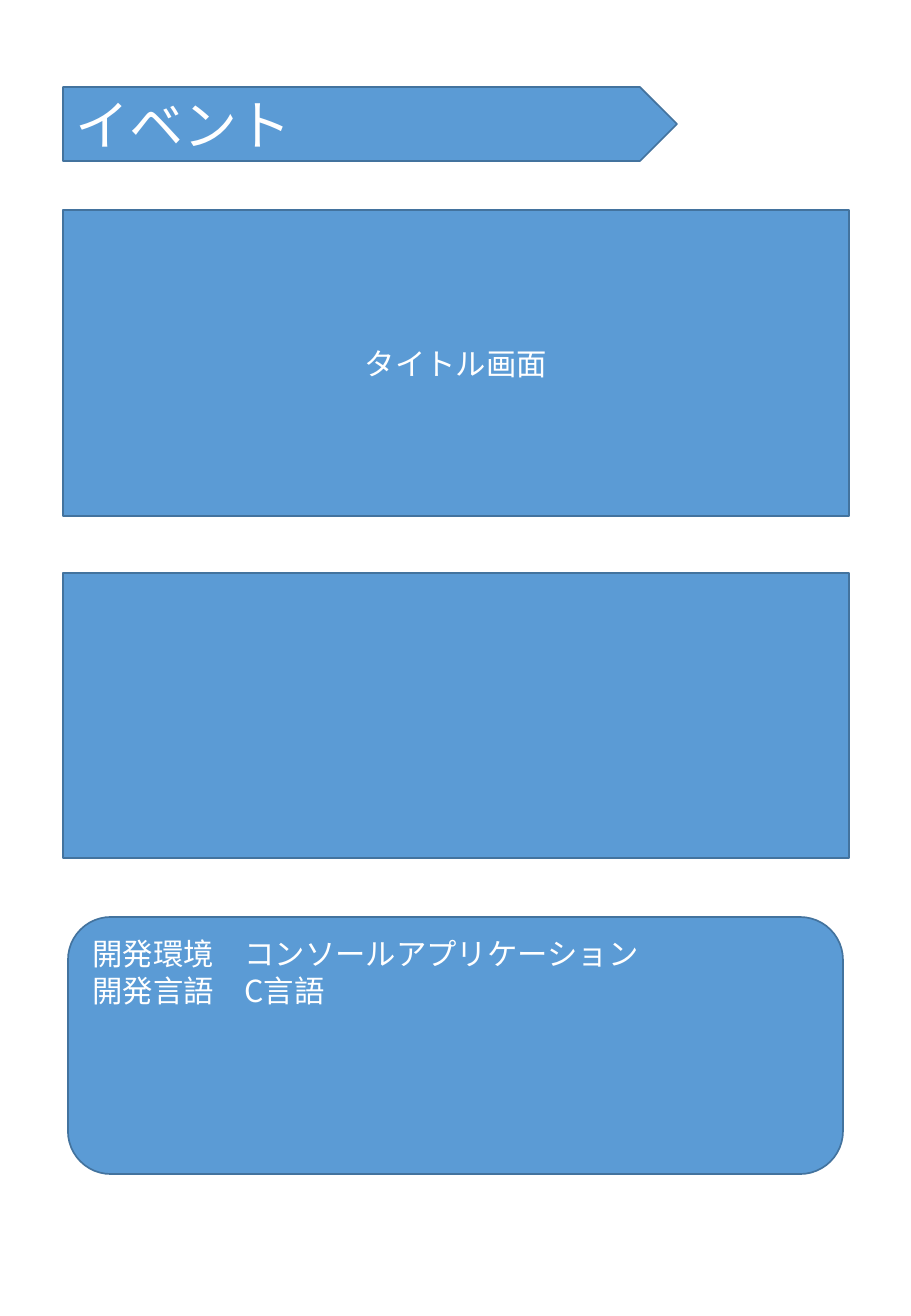
"""Build the event sheet: a banner heading, two screen panels and a development note."""
from dataclasses import dataclass

import pptx
import pptx.dml.color
import pptx.enum.shapes
import pptx.enum.text
import pptx.oxml
import pptx.oxml.ns
import pptx.shapes.autoshape
import pptx.slide
import pptx.text.text
import pptx.util

PIXEL = pptx.util.Inches(1) / 121.5
BLUE = pptx.dml.color.RGBColor(0x5B, 0x9B, 0xD5)
OUTLINE = pptx.dml.color.RGBColor(0x43, 0x73, 0x9E)
WHITE = pptx.dml.color.RGBColor(0xFF, 0xFF, 0xFF)
FONT = "Noto Sans CJK JP"

Geometry = pptx.enum.shapes.MSO_SHAPE
Align = pptx.enum.text.PP_ALIGN
Anchor = pptx.enum.text.MSO_ANCHOR


def px(pixels: int) -> pptx.util.Emu:
    """Turn pixels into EMU."""
    return pptx.util.Emu(round(pixels * PIXEL))


@dataclass(frozen=True)
class Block:
    """A blue block with optional lines of text; lengths in pixels."""
    geometry: Geometry
    left: int
    top: int
    width: int
    height: int
    lines: tuple[str, ...] = ()
    align: Align = Align.LEFT
    anchor: Anchor = Anchor.MIDDLE


MARGIN, PANEL_WIDTH = 63, 786
BANNER = Block(Geometry.PENTAGON, MARGIN, 87, 614, 74)
NOTE = Block(Geometry.ROUNDED_RECTANGLE, 68, 917, 775, 257,
             ("開発環境\u3000コンソールアプリケーション", "開発言語\u3000C言語"),
             anchor=Anchor.TOP)
TITLE_SCREEN = Block(Geometry.RECTANGLE, MARGIN, 210, PANEL_WIDTH, 306,
                     ("タイトル画面",), align=Align.CENTER)
EMPTY_SCREEN = Block(Geometry.RECTANGLE, MARGIN, 573, PANEL_WIDTH, 285)


def write(frame: pptx.text.text.TextFrame, *lines: str, size: int = 18,
          align: Align = Align.LEFT, anchor: Anchor = Anchor.MIDDLE) -> None:
    """Write one paragraph per line in the sheet's white type."""
    frame.text = "\n".join(lines)
    frame.word_wrap = True
    frame.auto_size = pptx.enum.text.MSO_AUTO_SIZE.NONE
    frame.vertical_anchor = anchor
    for paragraph in frame.paragraphs:
        paragraph.alignment = align
        for run in paragraph.runs:
            run.font.size = pptx.util.Pt(size)
            run.font.name = FONT
            run.font.color.rgb = WHITE
            east_asian = pptx.oxml.parse_xml(
                f'<a:ea {pptx.oxml.ns.nsdecls("a")} typeface="{FONT}"/>')
            run.font._element.append(east_asian)


def draw(slide: pptx.slide.Slide, block: Block) -> pptx.shapes.autoshape.Shape:
    """Draw a block and its text."""
    shape = slide.shapes.add_shape(block.geometry, px(block.left), px(block.top),
                                   px(block.width), px(block.height))
    shape.shadow.inherit = False
    shape.fill.solid()
    shape.fill.fore_color.rgb = BLUE
    shape.line.color.rgb = OUTLINE
    shape.line.width = pptx.util.Pt(1)
    if block.lines:
        write(shape.text_frame, *block.lines, align=block.align, anchor=block.anchor)
    return shape


def draw_heading(slide: pptx.slide.Slide, text: str) -> None:
    """Draw the banner and lay the slide title over it."""
    banner = draw(slide, BANNER)
    heading = slide.shapes.title
    heading.left, heading.top = banner.left, banner.top
    heading.width, heading.height = banner.width, banner.height
    write(heading.text_frame, text, size=32)
    banner._element.addnext(heading._element)


def main() -> None:
    """Build and save the sheet."""
    deck = pptx.Presentation()
    deck.slide_width, deck.slide_height = px(911), px(1316)
    title_only = deck.slide_layouts[5]
    event = deck.slides.add_slide(title_only)
    draw_heading(event, "イベント")
    for block in (NOTE, TITLE_SCREEN, EMPTY_SCREEN):
        draw(event, block)
    deck.save("out.pptx")


main()
